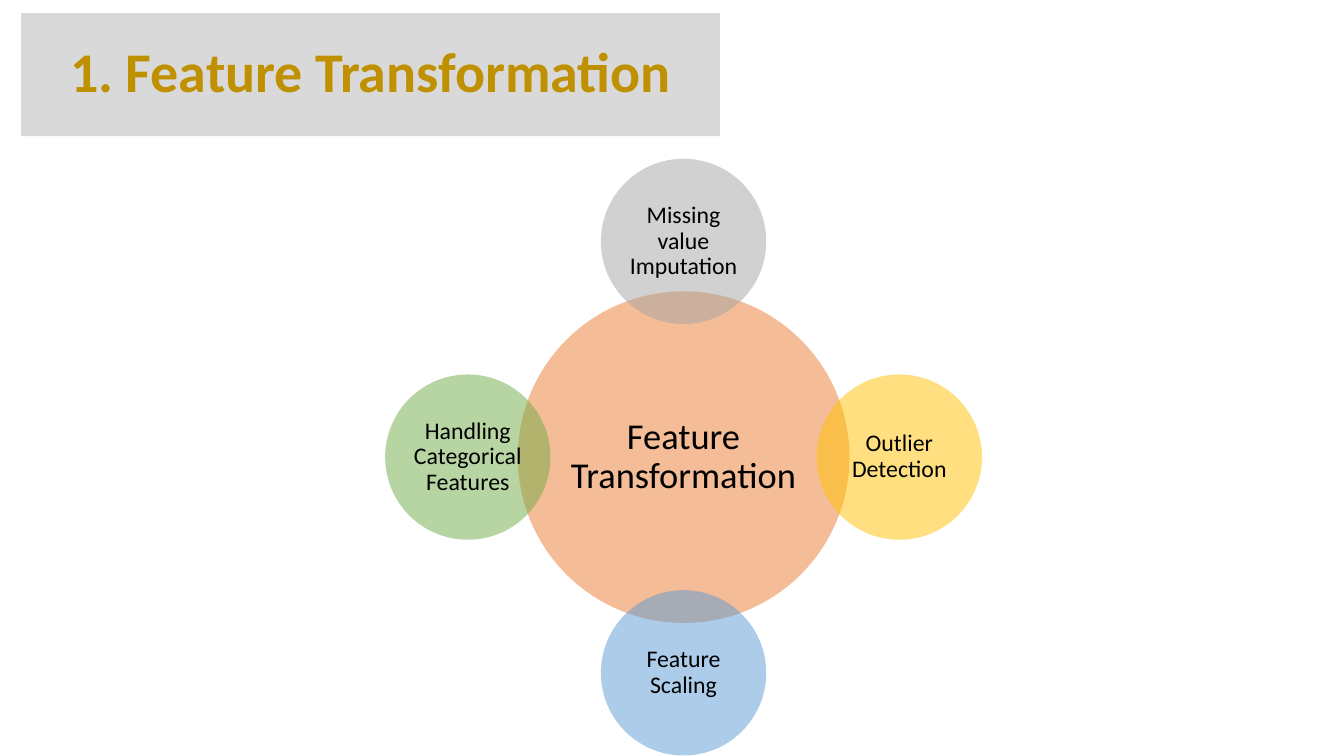
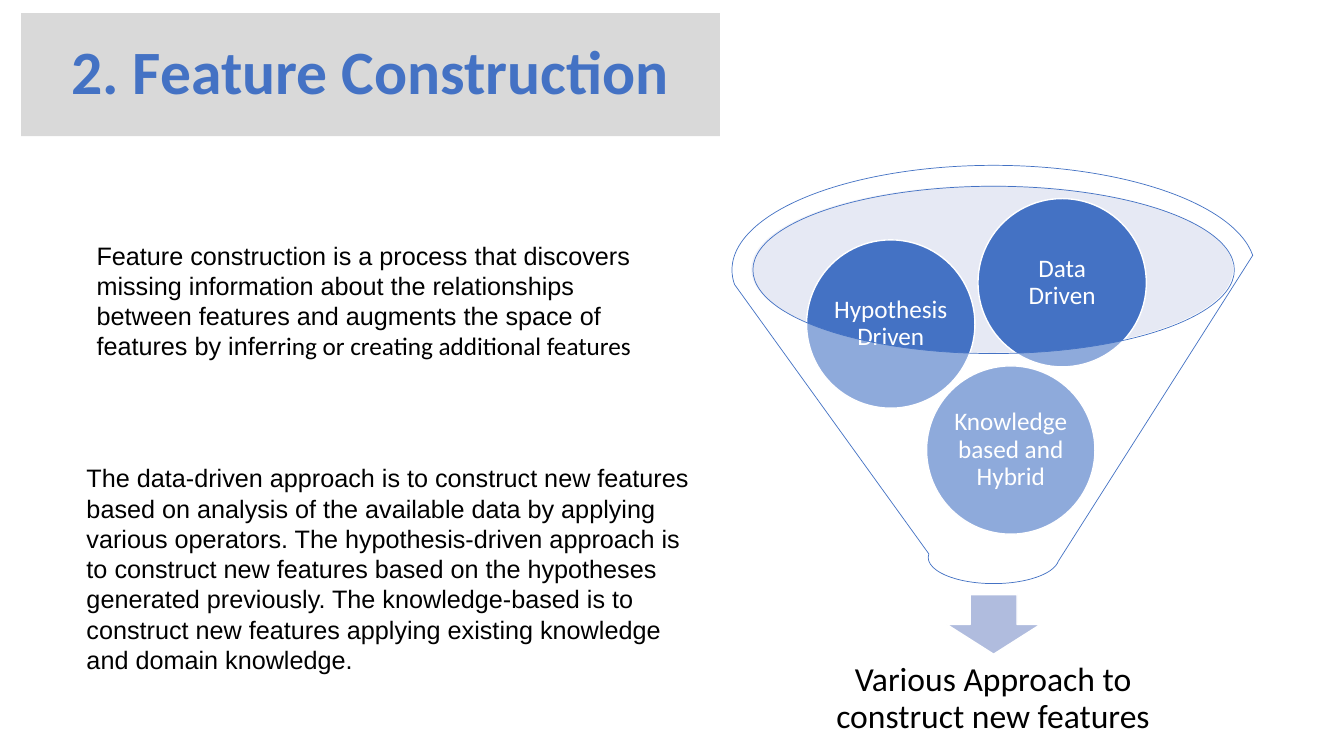
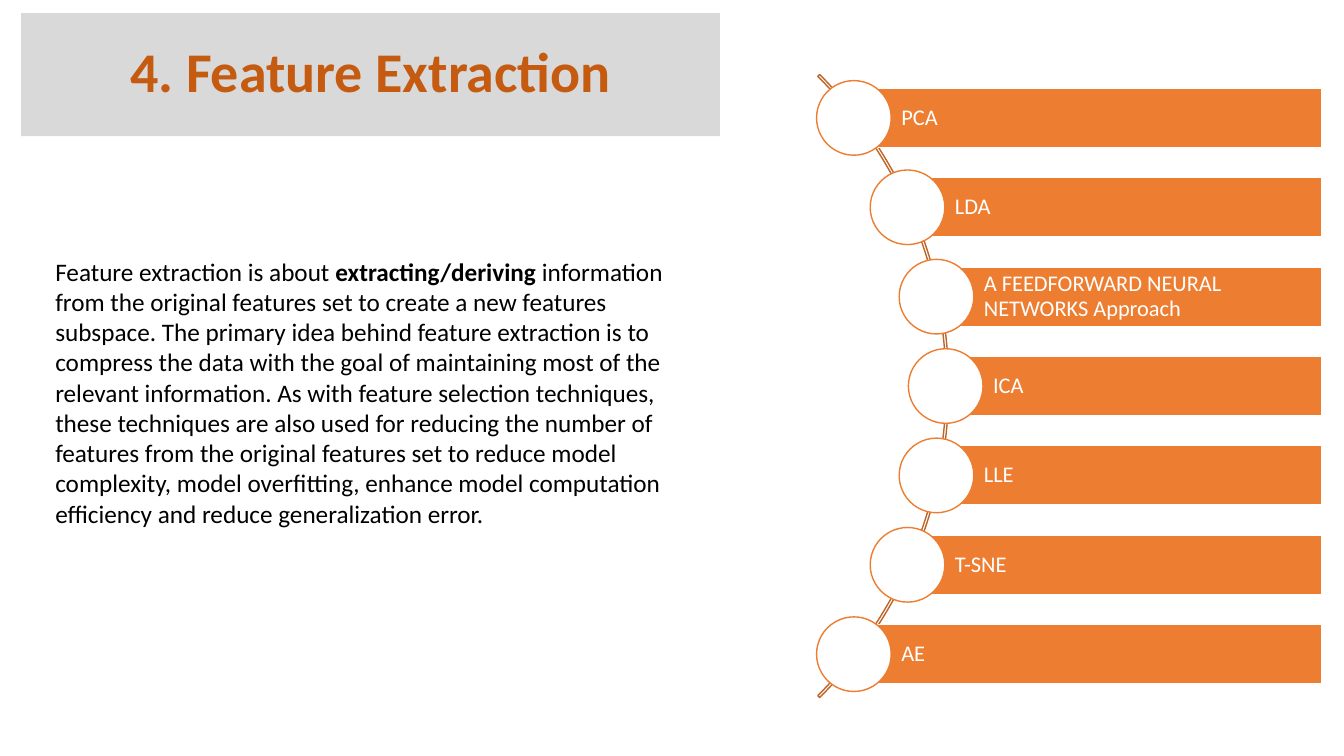
"""Build three slides on feature engineering."""
from math import sqrt

from lxml.etree import SubElement
from pptx import Presentation
from pptx.dml.color import RGBColor
from pptx.enum.shapes import MSO_SHAPE
from pptx.enum.text import MSO_ANCHOR, MSO_AUTO_SIZE, PP_ALIGN
from pptx.oxml.ns import qn
from pptx.util import Pt

PX = 9144
WHITE = RGBColor(0xFF, 0xFF, 0xFF)
BLACK = RGBColor(0x00, 0x00, 0x00)
BAND = RGBColor(0xD9, 0xD9, 0xD9)
GOLD = RGBColor(0xBF, 0x90, 0x00)
BLUE = RGBColor(0x44, 0x72, 0xC4)
RUST = RGBColor(0xC5, 0x5A, 0x11)
ORANGE = RGBColor(0xED, 0x7D, 0x31)
GRAY = RGBColor(0xA5, 0xA5, 0xA5)
YELLOW = RGBColor(0xFF, 0xC0, 0x00)
SKY = RGBColor(0x5B, 0x9B, 0xD5)
GREEN = RGBColor(0x70, 0xAD, 0x47)
RIM = RGBColor(0xC1, 0xC9, 0xE4)
ARROW = RGBColor(0xB0, 0xBC, 0xDE)
ARC = RGBColor(0xBE, 0x64, 0x27)

CENTERED = {"alignment": PP_ALIGN.CENTER, "line_spacing": 0.9}
LEFT = {"alignment": PP_ALIGN.LEFT, "line_spacing": 0.9}
BODY = {"alignment": PP_ALIGN.LEFT}
TITLE_BOX = (21, 13, 693, 122)


def emu(*lengths):
    """Turn px lengths into EMU."""
    return [round(n * PX) for n in lengths]


def apply(obj, values):
    """Set attributes of an object from a dict."""
    for name, value in values.items():
        setattr(obj, name, value)


def write(sp, runs, color, para, margins=None, anchor=MSO_ANCHOR.MIDDLE):
    """Fill a shape with one paragraph of (text, font values) runs."""
    tf = sp.text_frame
    apply(tf, {"word_wrap": True, "vertical_anchor": anchor})
    if margins:
        names = ("margin_left", "margin_top", "margin_right", "margin_bottom")
        apply(tf, dict(zip(names, emu(*margins))))
    p = tf.paragraphs[0]
    apply(p, para)
    for text, font in runs:
        if text == "\n":
            p.add_line_break()
            continue
        r = p.add_run()
        r.text = text
        apply(r.font, {"name": "Calibri", **font})
        r.font.color.rgb = color


def add_shape(s, kind, box, fill=None, line=None, width=1, alpha=None):
    """Add a preset shape with its fill, line and opacity in percent."""
    sp = s.shapes.add_shape(kind, *emu(*box))
    sp.shadow.inherit = False
    if fill is None:
        sp.fill.background()
    else:
        sp.fill.solid()
        sp.fill.fore_color.rgb = fill
    if alpha is not None:
        clr = sp.fill._xPr.find(qn("a:solidFill"))[0]
        SubElement(clr, qn("a:alpha")).set("val", str(alpha * 1000))
    if line is None:
        sp.line.fill.background()
    else:
        sp.line.color.rgb = line
        sp.line.width = Pt(width)
    return sp


def add_circle(s, cx, cy, d, **style):
    """Add a circle around a centre."""
    return add_shape(s, MSO_SHAPE.OVAL, (cx - d / 2, cy - d / 2, d, d), **style)


def add_body(s, box, runs):
    """Add a body text box."""
    sp = s.shapes.add_textbox(*emu(*box))
    write(sp, runs, BLACK, BODY, anchor=MSO_ANCHOR.TOP)
    sp.text_frame.auto_size = MSO_AUTO_SIZE.SHAPE_TO_FIT_TEXT


def add_slide(prs, title, color, size=40):
    """Add a blank slide with the title band."""
    s = prs.slides.add_slide(prs.slide_layouts[6])
    sp = add_shape(s, MSO_SHAPE.RECTANGLE, TITLE_BOX, BAND)
    write(sp, [(title, {"size": Pt(size), "bold": True})], color, CENTERED)
    return s


def add_radial(s, box, hub, satellites):
    """Place a hub circle with four satellites, clockwise from the top."""
    x, y, w, h = box
    cx, cy = x + w / 2, y + h / 2
    d = 164
    orbit = (w - d) / 2
    sp = add_circle(s, cx, cy, 329, fill=ORANGE, alpha=50)
    write(sp, [(hub, {"size": Pt(26)})], BLACK, CENTERED, (4, 4, 4, 4))
    directions = ((0, -1), (1, 0), (0, 1), (-1, 0))
    for (dx, dy), (text, color) in zip(directions, satellites):
        sp = add_circle(s, cx + dx * orbit, cy + dy * orbit, d, fill=color, alpha=50)
        write(sp, [(text, {"size": Pt(17)})], BLACK, CENTERED, (2, 2, 2, 2))


def add_funnel(s, box, balls, result):
    """Place a funnel holding balls, with an arrow down to the result."""
    x, y, w, h = box
    add_shape(s, MSO_SHAPE.OVAL, (x + 19, y + 20, 478, 166), RIM, alpha=40)
    add_shape(s, MSO_SHAPE.DOWN_ARROW, (x + 213, y + 426, 93, 59), ARROW, WHITE)
    sp = s.shapes.add_textbox(*emu(x + 37, y + h - 111, 444, 111))
    write(sp, [(result, {"size": Pt(24)})], BLACK, CENTERED, (19, 19, 19, 19))
    for text, dx, dy in balls:
        sp = add_shape(s, MSO_SHAPE.OVAL, (x + dx, y + dy, 167, 167), BLUE, WHITE)
        write(sp, [(text, {"size": Pt(18)})], WHITE, CENTERED, (1, 3, 1, 3))
    add_shape(s, MSO_SHAPE.FUNNEL, (x, y, w, 415), WHITE, BLUE, 0.5, 40)


def add_curved_list(s, box, items):
    """Place bars whose circles follow an arc, evenly spaced in height."""
    x, y, w, h = box
    d, bar = 74, 59
    radius, orbit = 437, 434
    cx, cy = x - 305, y + h / 2
    pitch = (h - d) / (len(items) - 1)
    sp = add_shape(s, MSO_SHAPE.BLOCK_ARC,
                   (cx - radius, cy - radius, 2 * radius, 2 * radius), line=ARC)
    for i, value in enumerate((189, 27, 0.003)):
        sp.adjustments[i] = value
    for i, text in enumerate(items):
        dy = (i - (len(items) - 1) / 2) * pitch
        left, mid = cx + sqrt(orbit ** 2 - dy ** 2), cy + dy
        sp = add_shape(s, MSO_SHAPE.RECTANGLE,
                       (left, mid - bar / 2, x + w - left, bar), ORANGE, WHITE)
        write(sp, [(text, {"size": Pt(16)})], WHITE, LEFT, (47, 4, 4, 4))
        add_circle(s, left, mid, d, fill=WHITE, line=ORANGE)


def main():
    """Build the slides and save them."""
    prs = Presentation()
    prs.slide_width, prs.slide_height = emu(1333, 750)
    arial = {"size": Pt(18), "name": "Arial"}
    calibri = {"size": Pt(18)}

    s = add_slide(prs, "1. Feature Transformation", GOLD)
    add_radial(s, (382, 157, 592, 593), "Feature Transformation", [
        ("Missing value Imputation", GRAY),
        ("Outlier Detection", YELLOW),
        ("Feature Scaling", SKY),
        ("Handling Categorical Features", GREEN),
    ])

    s = add_slide(prs, "2. Feature Construction", BLUE, 44)
    add_funnel(s, (726, 164, 519, 585), [
        ("Knowledge based and Hybrid", 193, 199),
        ("Hypothesis Driven", 74, 74),
        ("Data Driven", 244, 33),
    ], "Various Approach to construct new features")
    add_body(s, (86, 233, 573, 131), [
        ("Feature construction is a process that discovers", arial),
        ("\n", {}),
        ("missing information about the relationships between features and "
         "augments the space of features by infer", arial),
        ("ring or creating additional features", calibri),
    ])
    add_body(s, (76, 454, 623, 222), [
        ("The data-driven approach is to construct new features based on "
         "analysis of the available data by applying various operators. The "
         "hypothesis-driven approach is to construct new features based on "
         "the hypotheses generated previously. The knowledge-based is to "
         "construct new features applying existing knowledge and domain "
         "knowledge.", arial),
    ])

    s = add_slide(prs, "4. Feature Extraction", RUST)
    add_body(s, (45, 249, 638, 283), [
        ("Feature extraction is about ", calibri),
        ("extracting/deriving", {**calibri, "bold": True}),
        (" information from the original features set to create a new "
         "features subspace. The primary idea behind feature extraction is to "
         "compress the data with the goal of maintaining most of the relevant "
         "information. As with feature selection techniques, these techniques "
         "are also used for reducing the number of features from the original "
         "features set to reduce model complexity, model overfitting, enhance "
         "model computation efficiency and reduce generalization error.",
         calibri),
    ])
    add_curved_list(s, (809, 80, 502, 606), [
        "PCA", "LDA", "A FEEDFORWARD NEURAL NETWORKS Approach",
        "ICA", "LLE", "T-SNE", "AE",
    ])
    prs.save("out.pptx")


if __name__ == "__main__":
    main()
